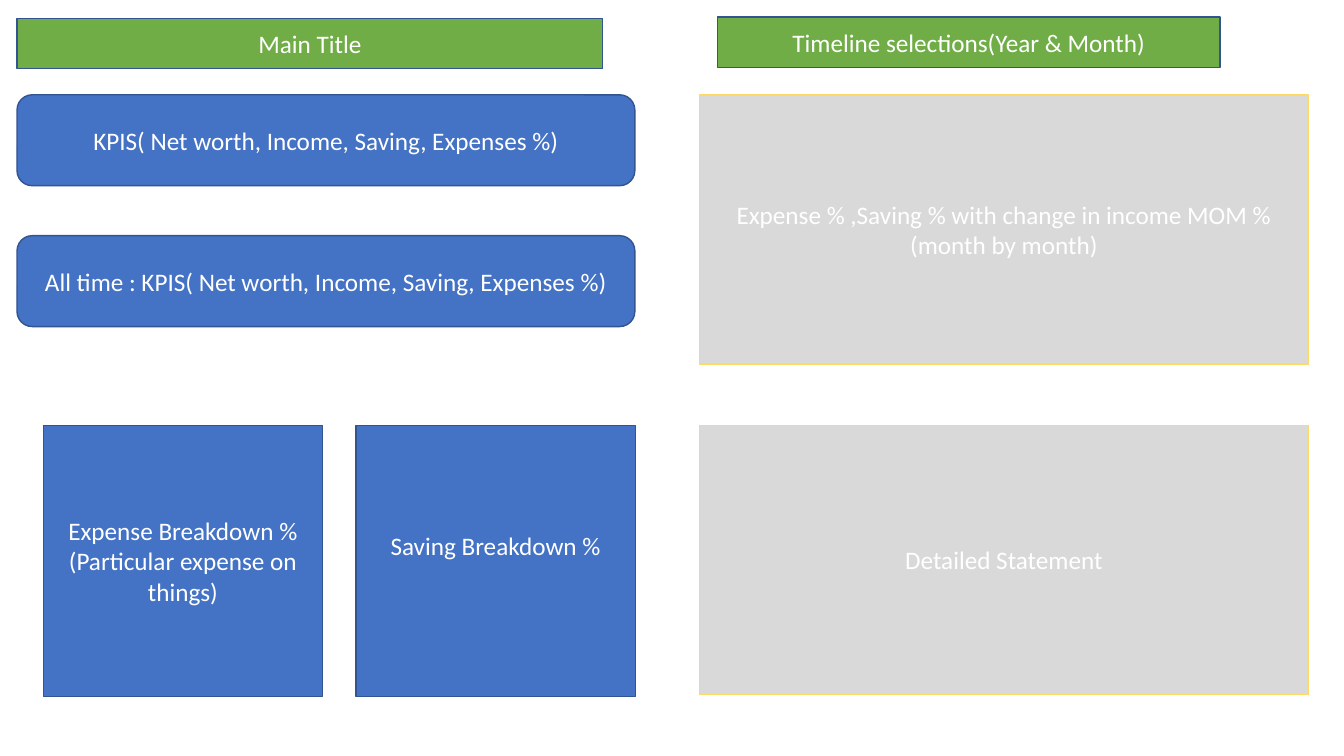
from pptx import Presentation
from pptx.dml.color import RGBColor
from pptx.enum.shapes import MSO_SHAPE
from pptx.enum.text import MSO_ANCHOR, MSO_AUTO_SIZE, PP_ALIGN
from pptx.util import Cm, Pt

RECT, ROUNDED = MSO_SHAPE.RECTANGLE, MSO_SHAPE.ROUNDED_RECTANGLE
MIDDLE, CENTER, NO_FIT = MSO_ANCHOR.MIDDLE, PP_ALIGN.CENTER, MSO_AUTO_SIZE.NONE

BLUE, GREEN, GREY = "4472C4", "70AD47", "D9D9D9"
NAVY, YELLOW, WHITE = "325491", "FFD966", "FFFFFF"


def rgb(value):
    return RGBColor.from_string(value)


def style(s, text, fill, line):
    """Give a box its fill, outline and centred white text."""
    s.fill.solid()
    s.fill.fore_color.rgb = rgb(fill)
    s.line.color.rgb = rgb(line)
    s.line.width = Pt(1)
    tf = s.text_frame
    tf.text = text
    tf.word_wrap = True
    tf.auto_size = NO_FIT
    tf.vertical_anchor = MIDDLE
    for p in tf.paragraphs:
        p.alignment = CENTER
        for r in p.runs:
            r.font.name = "Calibri"
            r.font.size = Pt(18)
            r.font.color.rgb = rgb(WHITE)


prs = Presentation()
prs.slide_width, prs.slide_height = Cm(33.87), Cm(19.05)
slide = prs.slides.add_slide(prs.slide_layouts[5])

# Title bar
title = slide.shapes.title
title.left, title.top, title.width, title.height = Cm(0.43), Cm(0.46), Cm(14.76), Cm(1.27)
style(title, "Main Title", GREEN, NAVY)

# Dashboard areas: shape, left, top, width, height (cm), fill, line, text
KPI_TOP, BREAKDOWN_TOP = 2.39, 10.72
areas = [
    (RECT, 18.08, 0.43, 12.67, 1.27, GREEN, NAVY, "Timeline selections(Year & Month)"),
    (ROUNDED, 0.43, KPI_TOP, 15.57, 2.29, BLUE, NAVY,
     "KPIS( Net worth, Income, Saving, Expenses %)"),
    (ROUNDED, 0.43, 5.94, 15.57, 2.29, BLUE, NAVY,
     "All time : KPIS( Net worth, Income, Saving, Expenses %)"),
    (RECT, 17.63, KPI_TOP, 15.34, 6.78, GREY, YELLOW,
     "Expense % ,Saving % with change in income MOM %(month by month)"),
    (RECT, 17.63, BREAKDOWN_TOP, 15.34, 6.78, GREY, YELLOW, "Detailed Statement"),
    (RECT, 1.09, BREAKDOWN_TOP, 7.04, 6.83, BLUE, NAVY,
     "Expense Breakdown %\n(Particular expense on things)"),
    (RECT, 8.97, BREAKDOWN_TOP, 7.04, 6.83, BLUE, NAVY, "Saving Breakdown %"),
]
for kind, left, top, width, height, fill, line, text in areas:
    s = slide.shapes.add_shape(kind, Cm(left), Cm(top), Cm(width), Cm(height))
    s.shadow.inherit = False
    style(s, text, fill, line)

# The saving label, drawn last, sits slightly above the middle of its box
s.text_frame.margin_bottom = Cm(0.9)

prs.save("out.pptx")
